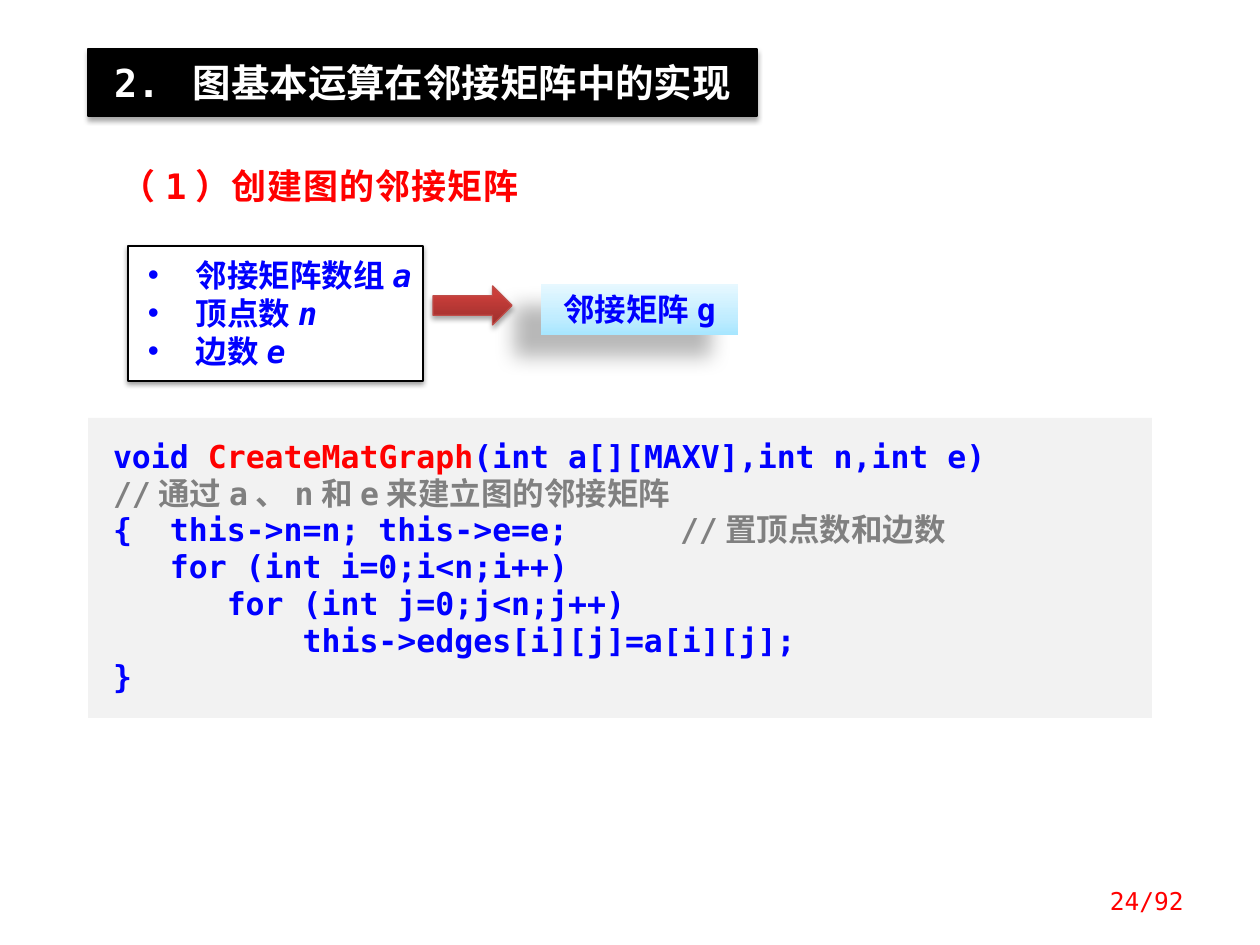
from dataclasses import dataclass, field
from typing import Any, NamedTuple

from lxml import etree
from pptx import Presentation
from pptx import util as u
from pptx.dml.color import RGBColor
from pptx.enum import shapes, text
from pptx.oxml.ns import qn

PX = 914400 / 126  # EMU in one px
FONT = "DejaVu Sans Mono"
BLACK = RGBColor(0, 0, 0)
WHITE = RGBColor(255, 255, 255)
RED = RGBColor(255, 0, 0)
BLUE = RGBColor(0, 0, 255)
GRAY = RGBColor(128, 128, 128)
PALE = RGBColor(0xF2, 0xF2, 0xF2)
EDGE = RGBColor(0xBF, 0x4C, 0x48)
SKY = ((0, "A7E6FF"), (35, "C1EDFF"), (100, "E7F8FF"))
BRICK = ((0, "9C2F2D"), (80, "CB3E3A"), (100, "CE3B37"))
LEFT, MID, RIGHT = text.PP_ALIGN.LEFT, text.PP_ALIGN.CENTER, text.PP_ALIGN.RIGHT


class Run(NamedTuple):
    words: str
    color: RGBColor = BLUE
    italic: bool = False


class Shade(NamedTuple):
    alpha: int
    blur: float
    dist: float
    angle: int


@dataclass
class Box:
    at: tuple[int, int, int, int]
    lines: list[list[Run]] = field(default_factory=list)
    size: int = 18
    bold: bool = True
    align: Any = LEFT
    anchor: Any = text.MSO_ANCHOR.TOP
    inset: tuple[int, int, int, int] = (13, 6, 13, 6)
    fill: Any = None  # one colour, or gradient stops
    line: RGBColor | None = None
    shade: Shade | None = None
    pitch: int | None = None  # line height in points
    bullet: bool = False
    track: int = 0  # letter spacing in 1/100 pt


def px(count: float) -> u.Emu:
    return u.Emu(round(count * PX))


def assign(item: Any, values: dict[str, Any]) -> None:
    for name, value in values.items():
        setattr(item, name, value)


def add(parent: Any, tag: str, **values: Any) -> Any:
    return etree.SubElement(parent, qn(tag), {k: str(v) for k, v in values.items()})


def paint(shape: Any, box: Box) -> None:
    """Set the fill, outline and shadow."""
    if box.fill is None:
        shape.fill.background()
    elif isinstance(box.fill, RGBColor):
        shape.fill.solid()
        shape.fill.fore_color.rgb = box.fill
    else:
        shape.fill.gradient()
        shape.fill.gradient_angle = 90
        stops = shape._element.spPr.find(".//" + qn("a:gsLst"))
        for old in list(stops):
            stops.remove(old)
        for pos, color in box.fill:
            add(add(stops, "a:gs", pos=pos * 1000), "a:srgbClr", val=color)
    if box.line is None:
        shape.line.fill.background()
    else:
        shape.line.color.rgb = box.line
        shape.line.width = u.Pt(0.75)
    if hasattr(shape, "shadow"):
        shape.shadow.inherit = False
    if box.shade:
        effects = shape._element.spPr.find(qn("a:effectLst"))
        shadow = add(effects, "a:outerShdw", blurRad=u.Pt(box.shade.blur),
                     dist=u.Pt(box.shade.dist), dir=box.shade.angle * 60000, rotWithShape=0)
        add(add(shadow, "a:srgbClr", val=str(BLACK)), "a:alpha", val=box.shade.alpha * 1000)


def write(shape: Any, box: Box) -> None:
    """Fill the text frame with the lines of the box."""
    frame = shape.text_frame
    sides = ("margin_left", "margin_top", "margin_right", "margin_bottom")
    assign(frame, dict(zip(sides, map(px, box.inset))))
    assign(frame, {"word_wrap": True, "auto_size": text.MSO_AUTO_SIZE.NONE,
                   "vertical_anchor": box.anchor})
    for i, line in enumerate(box.lines):
        para = frame.add_paragraph() if i else frame.paragraphs[0]
        para.alignment = box.align
        if box.pitch:
            para.line_spacing = u.Pt(box.pitch)
        if box.bullet:
            props = para._p.get_or_add_pPr()
            props.set("marL", str(px(48)))
            props.set("indent", str(px(-48)))
            add(props, "a:buFont", typeface="Arial")
            add(props, "a:buChar", char="•")
        for part in line:
            run = para.add_run()
            run.text = part.words
            assign(run.font, {"name": FONT, "size": u.Pt(box.size),
                              "bold": box.bold, "italic": part.italic})
            run.font.color.rgb = part.color
            if box.track:
                run._r.get_or_add_rPr().set("spc", str(box.track))


def place(shape: Any, box: Box) -> None:
    assign(shape, dict(zip(("left", "top", "width", "height"), map(px, box.at))))
    paint(shape, box)
    if box.lines:
        write(shape, box)


def draw(slide: Any, box: Box, kind: Any = shapes.MSO_SHAPE.RECTANGLE) -> None:
    area = map(px, box.at)
    if box.fill is None:
        shape = slide.shapes.add_textbox(*area)
    else:
        shape = slide.shapes.add_shape(kind, *area)
    place(shape, box)


SOFT = Shade(35, 3.1, 1.8, 90)

TITLE = Box((88, 49, 669, 67), [[Run("2. 图基本运算在邻接矩阵中的实现", WHITE)]], size=22,
            align=MID, inset=(13, 10, 13, 10), fill=BLACK, line=BLACK, shade=SOFT)
HEAD = Box((108, 158, 512, 55), [[Run("（1）创建图的邻接矩阵", RED)]], size=20, track=50)
INPUT = Box((128, 246, 295, 135),
            [[Run(label), Run(name, italic=True)]
             for label, name in (("邻接矩阵数组", "a"), ("顶点数", "n"), ("边数", "e"))],
            inset=(20, 10, 6, 10), fill=WHITE, line=BLACK,
            shade=Shade(38, 3.1, 1.6, 90), bullet=True)
GRAPH = Box((541, 284, 197, 51), [[Run("邻接矩阵g")]], align=MID, fill=SKY,
            shade=Shade(28, 11.8, 19.7, 141))
CODE = Box((88, 418, 1064, 300), [
    [Run("void "), Run("CreateMatGraph", RED), Run("(int a[][MAXV],int n,int e)")],
    [Run("//通过a、n和e来建立图的邻接矩阵", GRAY)],
    [Run("{  this->n=n; this->e=e;\t\t"), Run("//置顶点数和边数", GRAY)],
    [Run("   for (int i=0;i<n;i++)")],
    [Run("      for (int j=0;j<n;j++)")],
    [Run("          this->edges[i][j]=a[i][j];")],
    [Run("}")],
], inset=(25, 20, 13, 20), fill=PALE, pitch=21)
ARROW = Box((433, 286, 79, 39), fill=BRICK, line=EDGE, shade=SOFT)
PAGE = Box((1043, 876, 154, 50), [[Run("24/92", RED)]], size=14, bold=False,
           align=RIGHT, anchor=text.MSO_ANCHOR.MIDDLE)


def main() -> None:
    deck = Presentation()
    assign(deck, {"slide_width": px(1260), "slide_height": px(945)})
    slide = deck.slides.add_slide(deck.slide_layouts[5])

    # Title bar and section heading
    place(slide.shapes.title, TITLE)
    draw(slide, HEAD)

    # Inputs leading to the graph
    draw(slide, INPUT)
    draw(slide, GRAPH)
    draw(slide, ARROW, shapes.MSO_SHAPE.RIGHT_ARROW)

    # Code panel and page number
    draw(slide, CODE)
    draw(slide, PAGE)
    deck.save("out.pptx")


if __name__ == "__main__":
    main()
